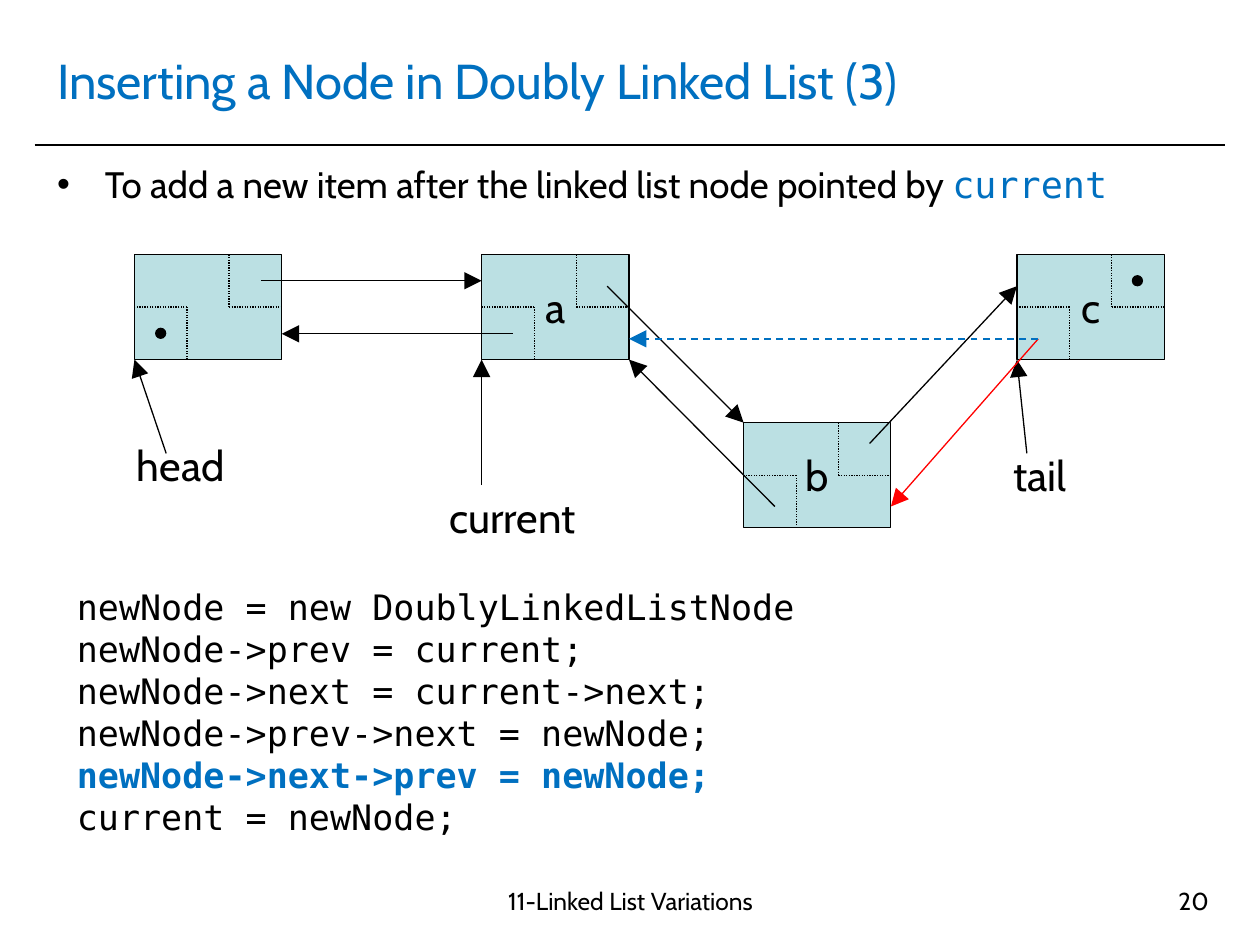
from lxml import etree
from pptx import Presentation
from pptx import util as u
from pptx.dml.color import RGBColor
from pptx.enum import dml, shapes, text
from pptx.oxml import ns

BLACK = RGBColor(0x00, 0x00, 0x00)
BLUE = RGBColor(0x00, 0x70, 0xC0)
RED = RGBColor(0xFF, 0x00, 0x00)
NODE_FILL = RGBColor(0xBB, 0xE0, 0xE3)
SANS = "Cabin"
MONO = "DejaVu Sans Mono"
NODE_WIDTH, NODE_HEIGHT, CORNER = 2.97, 2.12, 1.06
ROW, LOW_ROW = 5.13, 8.52
HEAD_X, A_X, B_X, C_X = 2.71, 9.71, 14.99, 20.5
NODES = [(HEAD_X, ROW, ""), (A_X, ROW, "a"), (C_X, ROW, "c"), (B_X, LOW_ROW, "b")]
BASE = ROW + NODE_HEIGHT
A_RIGHT = A_X + NODE_WIDTH
ARROWS = [
    (5.26, 5.66, A_X, 5.66),
    (10.34, 6.73, HEAD_X + NODE_WIDTH, 6.73),
    (3.35, 9.14, HEAD_X, BASE),
    (20.7, 9.14, C_X, BASE),
    (A_X, 9.78, A_X, BASE),
    (15.62, 10.21, A_RIGHT, BASE),
    (12.24, 5.77, B_X, LOW_ROW),
    (17.53, 8.94, C_X, 5.77),
]
LABELS = [("head", 2.51, 8.74, 2.8), ("tail", 20.18, 8.94, 1.65), ("current", 8.81, 9.78, 3.2)]
CODE = [
    "newNode = new DoublyLinkedListNode",
    "newNode->prev = current;",
    "newNode->next = current->next;",
    "newNode->prev->next = newNode;",
    "newNode->next->prev = newNode;",
    "current = newNode;",
]
CURRENT_STEP = 4


class Board:
    """Holds the current slide and draws each kind of element on it."""

    def __init__(self, slide):
        self.slide = slide

    def add_run(self, paragraph, words, size, font=SANS, color=BLACK, bold=False):
        run = paragraph.add_run()
        run.text = words
        run.font.name = font
        run.font.size = u.Pt(size)
        run.font.color.rgb = color
        run.font.bold = bold

    def place(self, shape, left, top, width, height):
        shape.left, shape.top = u.Cm(left), u.Cm(top)
        shape.width, shape.height = u.Cm(width), u.Cm(height)
        shape.text_frame.auto_size = text.MSO_AUTO_SIZE.NONE

    def title(self, words):
        shape = self.slide.shapes.title
        self.place(shape, 0.9, 0.53, 23.6, 2.16)
        shape.text_frame.vertical_anchor = text.MSO_ANCHOR.MIDDLE
        paragraph = shape.text_frame.paragraphs[0]
        paragraph.alignment = text.PP_ALIGN.LEFT
        self.add_run(paragraph, words, 28, color=BLUE)

    def bullet(self, words, keyword):
        shape = self.slide.placeholders[1]
        self.place(shape, 0.9, 3.14, 23.6, 1.68)
        paragraph = shape.text_frame.paragraphs[0]
        properties = paragraph._p.get_or_add_pPr()
        properties.set("marL", str(u.Cm(0.96)))
        properties.set("indent", str(-u.Cm(0.96)))
        etree.SubElement(properties, ns.qn("a:buChar")).set("char", "•")
        paragraph.space_before = u.Pt(0)
        self.add_run(paragraph, words, 21)
        self.add_run(paragraph, keyword, 21, MONO, BLUE)

    def text_box(self, left, top, width, height, wrap=True):
        box = self.slide.shapes.add_textbox(u.Cm(left), u.Cm(top), u.Cm(width), u.Cm(height))
        box.text_frame.word_wrap = wrap
        return box.text_frame

    def label(self, words, left, top, width, height=1.27, size=24,
              align=text.PP_ALIGN.LEFT, wrap=True):
        paragraph = self.text_box(left, top, width, height, wrap).paragraphs[0]
        paragraph.alignment = align
        self.add_run(paragraph, words, size)

    def code(self, lines, highlighted):
        frame = self.text_box(1.3, 11.68, 15.9, 5.38)
        for index, line in enumerate(lines):
            paragraph = frame.add_paragraph() if index else frame.paragraphs[0]
            active = index == highlighted
            self.add_run(paragraph, line, 20, MONO, BLUE if active else BLACK, active)

    def line(self, x1, y1, x2, y2, color=BLACK, width=0.75, dash=None, arrow=False):
        connector = self.slide.shapes.add_connector(
            shapes.MSO_CONNECTOR.STRAIGHT, u.Cm(x1), u.Cm(y1), u.Cm(x2), u.Cm(y2))
        connector.line.color.rgb = color
        connector.line.width = u.Pt(width)
        if dash:
            connector.line.dash_style = dash
        if arrow:
            outline = connector.line._get_or_add_ln()
            etree.SubElement(outline, ns.qn("a:tailEnd"), type="triangle", w="lg", len="lg")
        etree.SubElement(connector._element.spPr, ns.qn("a:effectLst"))

    def preset(self, kind, left, top, width, height, fill):
        shape = self.slide.shapes.add_shape(
            kind, u.Cm(left), u.Cm(top), u.Cm(width), u.Cm(height))
        shape.shadow.inherit = False
        shape.fill.solid()
        shape.fill.fore_color.rgb = fill
        shape.line.color.rgb = BLACK
        shape.line.width = u.Pt(0.75)
        return shape

    def node(self, left, top, words):
        shape = self.preset(shapes.MSO_SHAPE.RECTANGLE, left, top, NODE_WIDTH, NODE_HEIGHT, NODE_FILL)
        if words:
            frame = shape.text_frame
            frame.word_wrap = False
            frame.vertical_anchor = text.MSO_ANCHOR.MIDDLE
            frame.paragraphs[0].alignment = text.PP_ALIGN.CENTER
            self.add_run(frame.paragraphs[0], words, 24)
        right, bottom, middle = left + NODE_WIDTH, top + NODE_HEIGHT, top + CORNER
        for inner, outer, edge in ((right - CORNER, right, top), (left + CORNER, left, bottom)):
            self.line(inner, edge, inner, middle, dash=dml.MSO_LINE.ROUND_DOT)
            self.line(inner, middle, outer, middle, dash=dml.MSO_LINE.ROUND_DOT)

    def null_dot(self, x, y, size=0.2):
        self.preset(shapes.MSO_SHAPE.OVAL, x - size / 2, y - size / 2, size, size, BLACK)


def main():
    presentation = Presentation()
    presentation.slide_width, presentation.slide_height = u.Cm(25.4), u.Cm(19.05)
    board = Board(presentation.slides.add_slide(presentation.slide_layouts[1]))
    board.line(0.7, 2.92, 24.7, 2.92, width=1)
    board.title("Inserting a Node in Doubly Linked List (3)")
    board.bullet("To add a new item after the linked list node pointed by ", "current")
    board.label("11-Linked List Variations", 8.51, 17.73, 8.41, 1.32, 14, text.PP_ALIGN.CENTER)
    board.label("20", 18.7, 17.73, 5.92, 1.32, 14, text.PP_ALIGN.RIGHT)
    board.code(CODE, CURRENT_STEP)
    for left, top, words in NODES:
        board.node(left, top, words)
    board.null_dot(22.93, 5.66)
    board.null_dot(3.24, 6.72)
    for words, left, top, width in LABELS:
        board.label(words, left, top, width, wrap=False)
    for ends in ARROWS:
        board.line(*ends, arrow=True)
    board.line(20.93, 6.83, B_X + NODE_WIDTH, 10.21, RED, arrow=True)
    board.line(20.93, 6.83, A_RIGHT, 6.83, BLUE, 1, dml.MSO_LINE.DASH, True)
    presentation.save("out.pptx")


if __name__ == "__main__":
    main()
